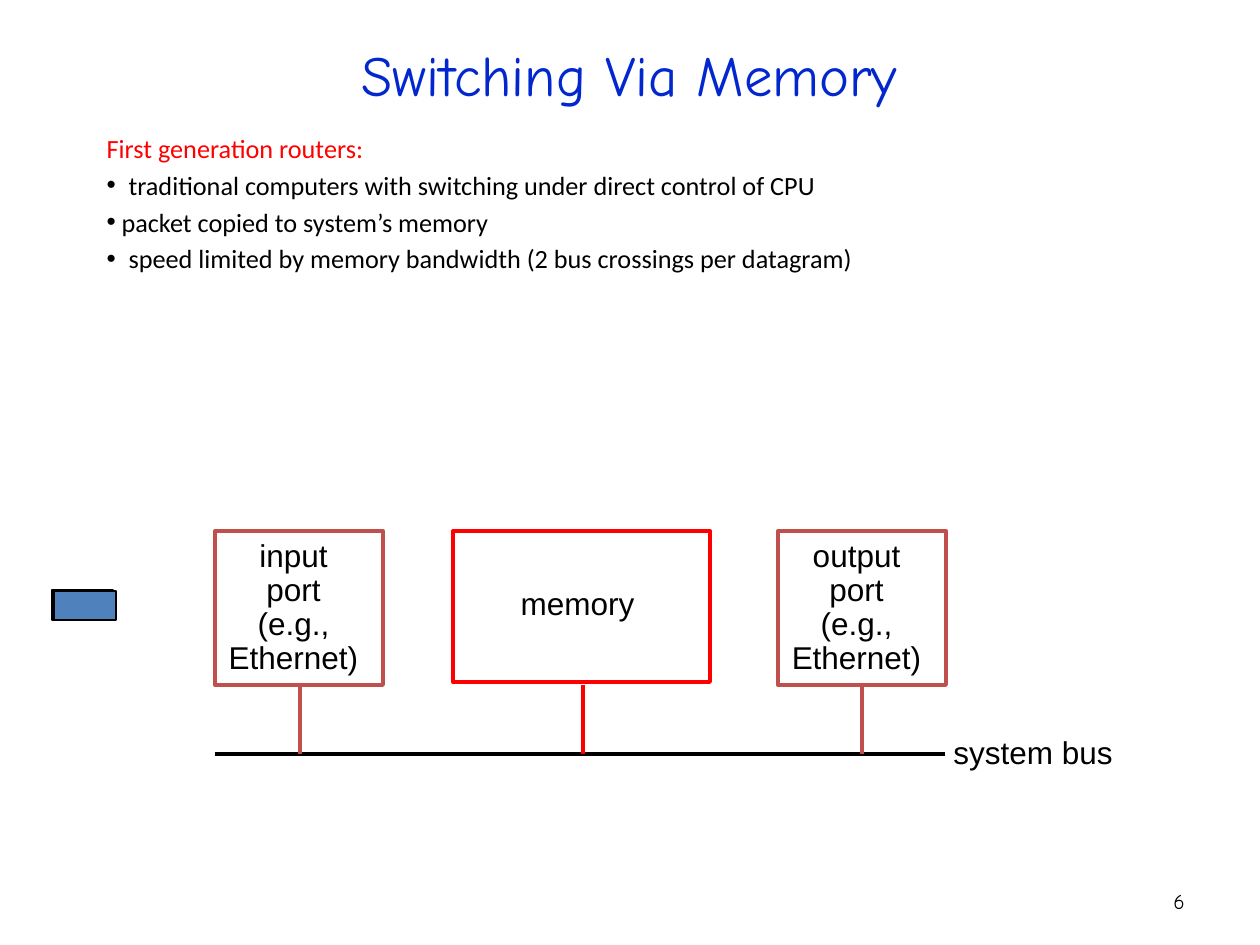
from dataclasses import dataclass

from lxml import etree
from pptx import Presentation
from pptx.dml.color import RGBColor
from pptx.enum.shapes import MSO_CONNECTOR, MSO_SHAPE
from pptx.enum.text import MSO_ANCHOR, MSO_AUTO_SIZE, PP_ALIGN
from pptx.oxml.ns import qn
from pptx.util import Emu, Pt

RECT = MSO_SHAPE.RECTANGLE
STRAIGHT = MSO_CONNECTOR.STRAIGHT
LEFT, CENTER, RIGHT = PP_ALIGN.LEFT, PP_ALIGN.CENTER, PP_ALIGN.RIGHT
TOP, MIDDLE = MSO_ANCHOR.TOP, MSO_ANCHOR.MIDDLE
NO_FIT = MSO_AUTO_SIZE.NONE
EMU_PER_PX = 914400 / 126


@dataclass(frozen=True)
class Theme:
    title_font: str = "Comic Neue"
    body_font: str = "Calibri"
    label_font: str = "Arial"
    title_size: float = 32.4
    body_size: float = 15
    label_size: float = 18
    number_size: float = 12
    title: str = "0227CE"
    accent: str = "FF0000"
    port: str = "C0504D"
    packet: str = "4F81BD"
    ink: str = "000000"
    paper: str = "FFFFFF"
    heavy: float = 2.25
    thin: float = 0.75


THEME = Theme()


def px(n):
    return Emu(round(n * EMU_PER_PX))


def rgb(value):
    return RGBColor.from_string(value)


def apply(target, **values):
    for name, value in values.items():
        setattr(target, name, value)


def style_font(font, name, size, color):
    apply(font, name=name, size=Pt(size))
    font.color.rgb = rgb(color)


def place(shape, box):
    for name, value in zip(("left", "top", "width", "height"), box):
        setattr(shape, name, px(value))


def set_title(s, text, box):
    place(s.shapes.title, box)
    tf = s.shapes.title.text_frame
    apply(tf, text=text, auto_size=NO_FIT, vertical_anchor=MIDDLE)
    p = tf.paragraphs[0]
    p.alignment = CENTER
    style_font(p.runs[0].font, THEME.title_font, THEME.title_size, THEME.title)


def set_bullet(p, char, indent):
    ppr = p._p.get_or_add_pPr()
    ppr.set("marL", str(px(indent)))
    ppr.set("indent", str(-px(indent)))
    if char:
        etree.SubElement(ppr, qn("a:buChar")).set("char", char)
    else:
        etree.SubElement(ppr, qn("a:buNone"))


def set_body(s, items, box):
    body = s.placeholders[1]
    place(body, box)
    tf = body.text_frame
    apply(tf, auto_size=NO_FIT, vertical_anchor=TOP)
    for i, (text, char, indent, color) in enumerate(items):
        p = tf.paragraphs[0] if i == 0 else tf.add_paragraph()
        apply(p, alignment=LEFT, space_before=Pt(3 if i else 0))
        set_bullet(p, char, indent)
        r = p.add_run()
        r.text = text
        style_font(r.font, THEME.body_font, THEME.body_size, color)


def add_box(s, box, line, width, fill=None):
    sp = s.shapes.add_shape(RECT, *map(px, box))
    sp.shadow.inherit = False
    if fill:
        sp.fill.solid()
        sp.fill.fore_color.rgb = rgb(fill)
    else:
        sp.fill.background()
    sp.line.color.rgb = rgb(line)
    sp.line.width = Pt(width)


def add_label(s, lines, box, align=CENTER, spacing=0.9, wrap=False,
              anchor=TOP, font=THEME.label_font, size=THEME.label_size):
    tf = s.shapes.add_textbox(*map(px, box)).text_frame
    apply(tf, word_wrap=wrap, vertical_anchor=anchor)
    for i, text in enumerate(lines):
        p = tf.paragraphs[0] if i == 0 else tf.add_paragraph()
        apply(p, alignment=align, line_spacing=spacing)
        r = p.add_run()
        r.text = text
        style_font(r.font, font, size, THEME.ink)


def add_line(s, start, end, color):
    line = s.shapes.add_connector(STRAIGHT, *map(px, start + end))
    line.line.color.rgb = rgb(color)
    line.line.width = Pt(THEME.heavy)
    etree.SubElement(line._element.spPr, qn("a:effectLst"))


def add_port(s, name, left):
    add_box(s, (left, 531, 168, 154), THEME.port, THEME.heavy, THEME.paper)
    add_label(s, [name, "port", "(e.g.,", "Ethernet)"],
              (left + 1, 534, 155, 149))


def main():
    prs = Presentation()
    apply(prs, slide_width=px(1260), slide_height=px(945))
    s = prs.slides.add_slide(prs.slide_layouts[1])

    set_title(s, "Switching Via Memory", (94, 32, 1071, 84))
    set_body(s, [
        ("First generation routers:", None, 0, THEME.accent),
        ("traditional computers with switching under direct control of CPU",
         "•", 22, THEME.ink),
        ("packet copied to system’s memory", "•", 15, THEME.ink),
        ("speed limited by memory bandwidth (2 bus crossings per datagram)",
         "•", 22, THEME.ink),
    ], (94, 126, 1081, 147))

    add_port(s, "input", 215)
    add_label(s, ["memory"], (508, 582, 139, 47))
    add_box(s, (453, 531, 257, 151), THEME.accent, THEME.heavy)
    add_port(s, "output", 778)

    bus_y = 754
    add_line(s, (215, bus_y), (945, bus_y), THEME.ink)
    for x, color in ((300, THEME.port), (862, THEME.port),
                     (583, THEME.accent)):
        add_line(s, (x, 685), (x, bus_y), color)
    add_label(s, ["system bus"], (941, 727, 185, 50), LEFT, 1.0)

    for box in ((52, 590, 61, 30), (54, 591, 62, 29)):
        add_box(s, box, THEME.ink, THEME.thin, THEME.packet)

    add_label(s, ["6"], (903, 876, 294, 50), RIGHT, 1.0, True, MIDDLE,
              THEME.title_font, THEME.number_size)
    prs.save("out.pptx")


if __name__ == "__main__":
    main()
